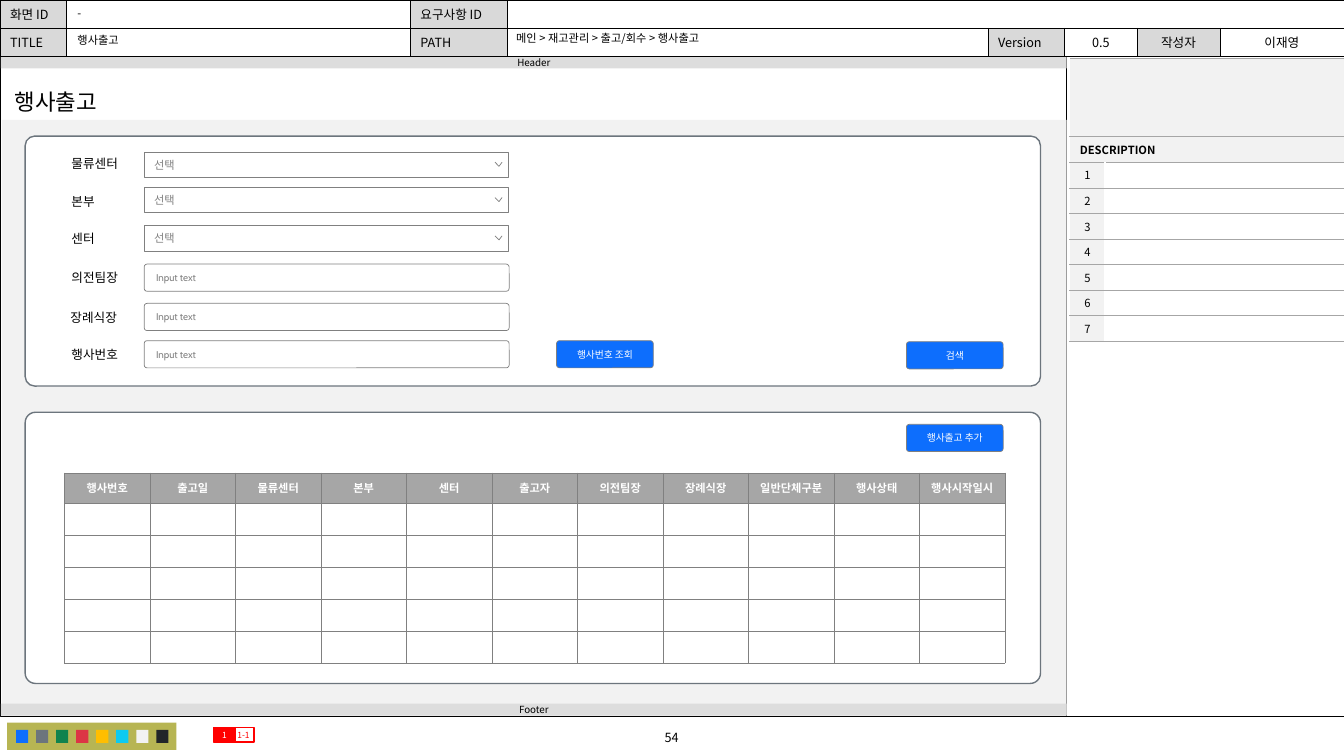
from lxml import etree
from pptx import Presentation
from pptx.dml.color import RGBColor
from pptx.enum.shapes import MSO_CONNECTOR, MSO_SHAPE
from pptx.enum.text import MSO_ANCHOR, PP_ALIGN
from pptx.oxml.ns import qn
from pptx.util import Inches, Pt

RECT, ROUND = MSO_SHAPE.RECTANGLE, MSO_SHAPE.ROUNDED_RECTANGLE
TOP, MIDDLE = MSO_ANCHOR.TOP, MSO_ANCHOR.MIDDLE
LEFT, CENTER = PP_ALIGN.LEFT, PP_ALIGN.CENTER
NOTO, CABIN = "Noto Sans CJK KR", "Cabin"
BLACK, WHITE, GREY, PALE = "000000", "FFFFFF", "808080", "F2F2F2"
SLATE, BLUE, RED, SILVER, LABEL_GREY = "6C757D", "0D6EFD", "FF0000", "A6A6A6", "D9D9D9"
rgb = RGBColor.from_string

deck = Presentation()
deck.slide_width, deck.slide_height = Inches(13.33), Inches(7.5)
page = deck.slides.add_slide(deck.slide_layouts[6])


def write(holder, para, text, size, color=BLACK, font=NOTO, bold=False,
          align=LEFT, anchor=MIDDLE, margins=(0.1, 0.05, 0.1, 0.05)):
    """Set text in a text frame or table cell; an empty one keeps its text size."""
    holder.vertical_anchor = anchor
    for side, value in zip(("left", "top", "right", "bottom"), margins):
        setattr(holder, f"margin_{side}", Inches(value))
    para.alignment = align
    if not text:
        etree.SubElement(para._p, qn("a:endParaRPr"), sz=str(size * 100))
        return
    span = para.add_run()
    span.text = text
    for name, value in {"name": font, "size": Pt(size), "bold": bold}.items():
        setattr(span.font, name, value)
    span.font.color.rgb = rgb(color)
    etree.SubElement(span.font._element, qn("a:ea"), typeface=font)


def add_box(kind, at, fill=None, line=None, width=0.5, corner=None, text="", **format_values):
    """Add a preset shape, or a text box when kind is None."""
    place = [Inches(value) for value in at]
    if kind is None:
        box = page.shapes.add_textbox(*place)
    else:
        box = page.shapes.add_shape(kind, *place)
        box.shadow.inherit = False
        if corner:
            box.adjustments[0] = corner
        if fill:
            box.fill.solid()
            box.fill.fore_color.rgb = rgb(fill)
        else:
            box.fill.background()
        if line:
            box.line.color.rgb = rgb(line)
            box.line.width = Pt(width)
        else:
            box.line.fill.background()
    if text:
        frame = box.text_frame
        frame.word_wrap = True
        write(frame, frame.paragraphs[0], text, **format_values)


# Page frame, divider and page number
add_box(RECT, (0, 0.55, 13.33, 6.56), line=BLACK, width=0.25)
divider = page.shapes.add_connector(
    MSO_CONNECTOR.STRAIGHT, Inches(10.58), Inches(0.56), Inches(10.58), Inches(7.11))
divider.line.color.rgb = rgb(BLACK)
divider.line.width = Pt(0.5)
etree.SubElement(divider._element.spPr, qn("a:effectLst"))
add_box(None, (5.37, 7.19, 2.58, 0.25), text="54", size=9, align=CENTER)

# Colour swatches
add_box(RECT, (0.07, 7.17, 1.68, 0.27), "B7B553")
swatches = (BLUE, SLATE, "10834E", "DC3545", "FFBE00", "0DCAF0", PALE, "212529")
for i, swatch in enumerate(swatches):
    add_box(RECT, (0.16 + i * 1.39 / 7, 7.24, 0.12, 0.13), swatch)

# Number tags
for left, tag, fill, color in ((2.31, "1-1", None, RED), (2.12, "1", RED, WHITE)):
    add_box(RECT, (left, 7.22, 0.21, 0.14), fill, RED, 1, text=tag, size=6,
            color=color, align=CENTER, margins=(0, 0, 0, 0))

# Screen area with header and footer bars
add_box(RECT, (0.02, 1.19, 10.56, 5.91), PALE)
for top, bar in ((6.98, "Footer"), (0.56, "Header")):
    add_box(RECT, (0.01, top, 10.57, 0.12), "DDDDDD", text=bar, size=7,
            align=CENTER, margins=(0, 0, 0, 0))
add_box(None, (0.05, 0.83, 1.1, 0.37), text="행사출고", size=16, anchor=TOP)

# Search and result panels
for top, height in ((1.35, 2.48), (4.09, 2.69)):
    add_box(ROUND, (0.25, top, 10.07, height), WHITE, SLATE, 1, corner=0.038)

# Form: label, label left and top, field top, whether the field is a drop-down
fields = (
    ("물류센터", 0.61, 1.5, 1.51, True),
    ("본부", 0.61, 1.87, 1.86, True),
    ("센터", 0.61, 2.24, 2.24, True),
    ("의전팀장", 0.61, 2.63, 2.62, False),
    ("장례식장", 0.6, 3.02, 3.01, False),
    ("행사번호", 0.61, 3.39, 3.38, False),
)
for label, label_left, label_top, top, is_dropdown in fields:
    add_box(None, (label_left, label_top, 0.75, 0.25), text=label, size=9, anchor=TOP)
    if not is_dropdown:
        add_box(ROUND, (1.43, top, 3.62, 0.27), WHITE, GREY, corner=0.108, text="Input text",
                size=7, color=GREY, font=CABIN, margins=(0.11, 0.07, 0.11, 0.07))
        continue
    add_box(RECT, (1.43, top, 3.61, 0.25), WHITE, GREY, text="선택", size=8,
            color=GREY, font=CABIN, margins=(0.1, 0.06, 0.28, 0.06))
    pen = page.shapes.build_freeform(Inches(4.98), Inches(top + 0.1))
    pen.add_line_segments([(Inches(4.95), Inches(top + 0.14)),
                           (Inches(4.91), Inches(top + 0.1))], close=False)
    chevron = pen.convert_to_shape()
    chevron.shadow.inherit = False
    chevron.fill.solid()
    chevron.fill.fore_color.rgb = rgb(WHITE)
    chevron.line.color.rgb = rgb(GREY)
    chevron.line.width = Pt(0.5)

# Buttons
for left, top, caption in ((5.52, 3.38, "행사번호 조회"), (8.99, 3.39, "검색"),
                           (8.99, 4.21, "행사출고 추가")):
    add_box(ROUND, (left, top, 0.96, 0.27), BLUE, GREY, corner=0.108, text=caption, size=7,
            color=WHITE, font=CABIN, align=CENTER, margins=(0.11, 0.07, 0.11, 0.07))

# Table contents: each cell is text, fill, alignment
blank = ("", WHITE, LEFT)
info_rows = [
    [("화면 ID", LABEL_GREY, LEFT), blank, ("요구사항 ID", LABEL_GREY, LEFT)] + [blank] * 5,
    [("TITLE", LABEL_GREY, LEFT), blank, ("PATH", LABEL_GREY, LEFT), blank,
     ("Version", LABEL_GREY, LEFT), ("0.5", WHITE, CENTER),
     ("작성자", LABEL_GREY, CENTER), ("이재영", WHITE, CENTER)],
]
description_rows = [[("", PALE, LEFT), blank], [("DESCRIPTION", PALE, LEFT), blank]]
description_rows += [[(str(number), PALE, CENTER), blank] for number in range(1, 8)]
event_heads = ("행사번호", "출고일", "물류센터", "본부", "센터", "출고자", "의전팀장",
               "장례식장", "일반단체구분", "행사상태", "행사시작일시")
event_rows = [[(head, SILVER, CENTER) for head in event_heads]] + [[blank] * 11] * 5

# Tables: left, top, widths, heights, rows, merges, border sides, colour, points, text format
tables = (
    (0, 0, (0.66, 3.41, 0.96, 4.77, 0.76, 0.72, 0.82, 1.23), (0.28, 0.28), info_rows,
     [(0, 3, 0, 7)], "LRTB", BLACK, 0.5, {"size": 9}),
    (10.61, 0.58, (0.35, 2.37), [0.77, 0.26] + [1.78 / 7] * 7, description_rows,
     [(0, 0, 0, 1), (1, 0, 1, 1)], "RTB", SILVER, 0.5, {"size": 8}),
    (0.64, 4.69, [9.33 / 11] * 11, [0.3] + [1.59 / 5] * 5, event_rows,
     [], "LRTB", GREY, 0.25,
     {"size": 8, "color": WHITE, "bold": True, "margins": (0.06, 0.04, 0.06, 0.04)}),
)
for left, top, widths, heights, rows, merges, sides, color, points, text_format in tables:
    table = page.shapes.add_table(
        len(heights), len(widths), Inches(left), Inches(top),
        Inches(sum(widths)), Inches(sum(heights))).table
    table.first_row = table.horz_banding = False
    for column, width in zip(table.columns, widths):
        column.width = Inches(width)
    for row, height in zip(table.rows, heights):
        row.height = Inches(height)
    for r, row in enumerate(rows):
        for c, (text, fill, align) in enumerate(row):
            cell = table.cell(r, c)
            cell_format = dict(text_format, align=align)
            if text == "DESCRIPTION":
                cell_format["bold"] = True
            elif rows is description_rows:
                cell_format["margins"] = (0, 0, 0, 0)
            write(cell, cell.text_frame.paragraphs[0], text, **cell_format)
            properties = cell._tc.get_or_add_tcPr()
            for side in sides:
                border = etree.SubElement(properties, qn(f"a:ln{side}"), w=str(Pt(points)))
                paint = etree.SubElement(border, qn("a:solidFill"))
                etree.SubElement(paint, qn("a:srgbClr"), val=color)
            cell.fill.solid()
            cell.fill.fore_color.rgb = rgb(fill)
    for first_row, first_column, last_row, last_column in merges:
        table.cell(first_row, first_column).merge(table.cell(last_row, last_column))

# Values over the info table
for at, value in (((5.02, 0.26, 4.74, 0.23), "메인 > 재고관리 > 출고/회수 > 행사출고"),
                  ((0.67, 0.01, 3.4, 0.23), "-"),
                  ((0.67, 0.28, 3.38, 0.2), "행사출고")):
    add_box(None, at, text=value, size=8, anchor=TOP)

deck.save("out.pptx")
